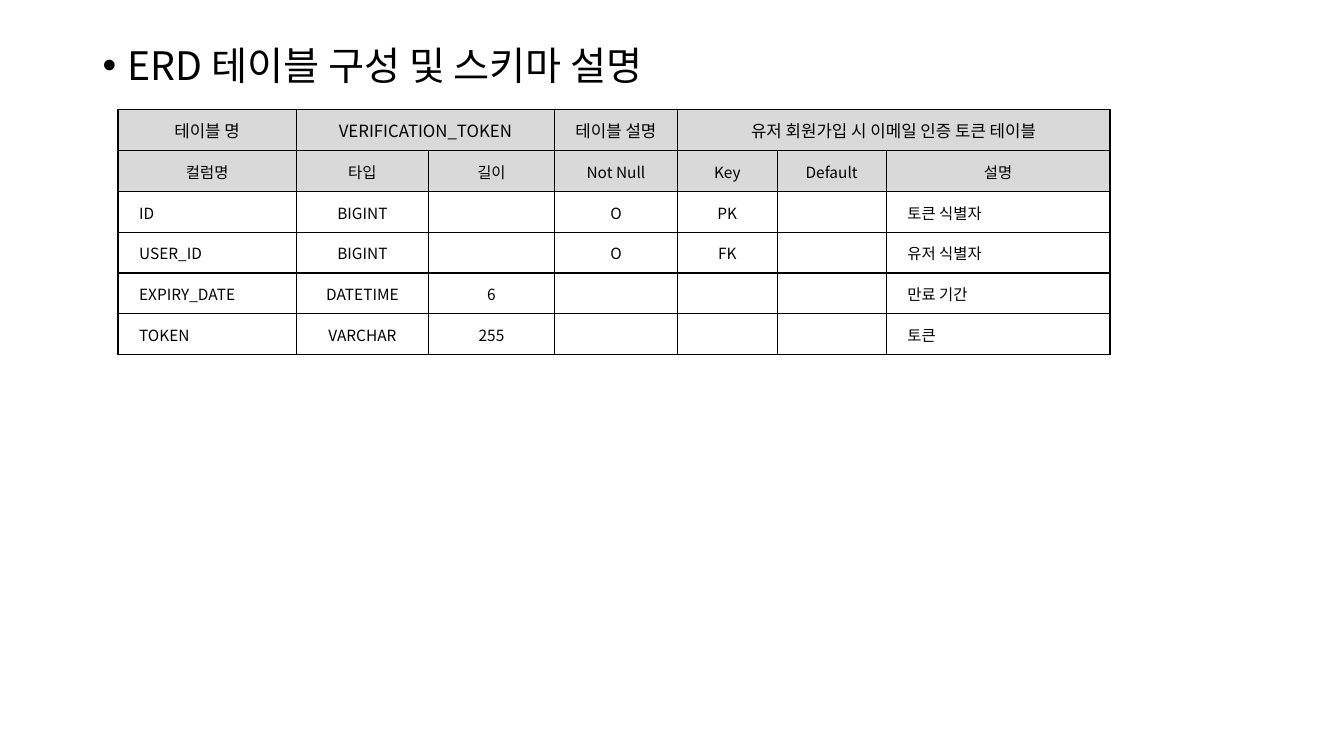
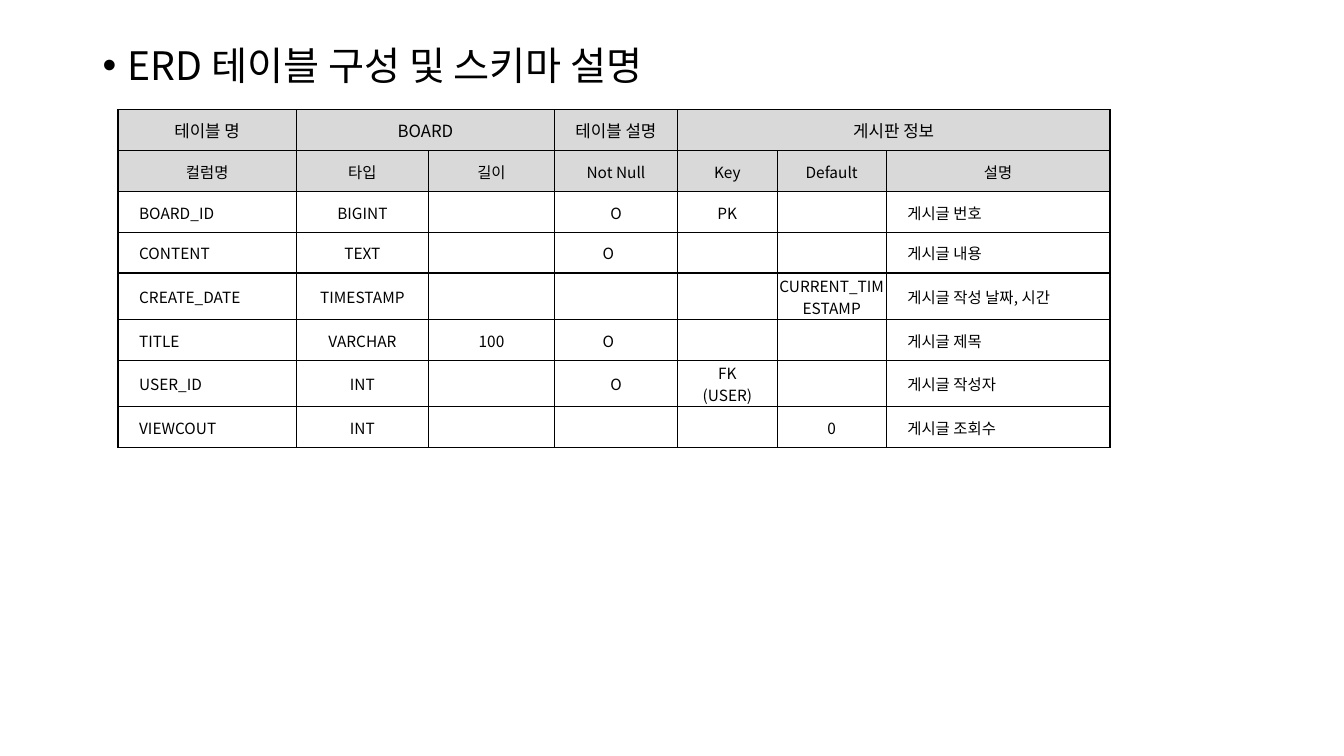
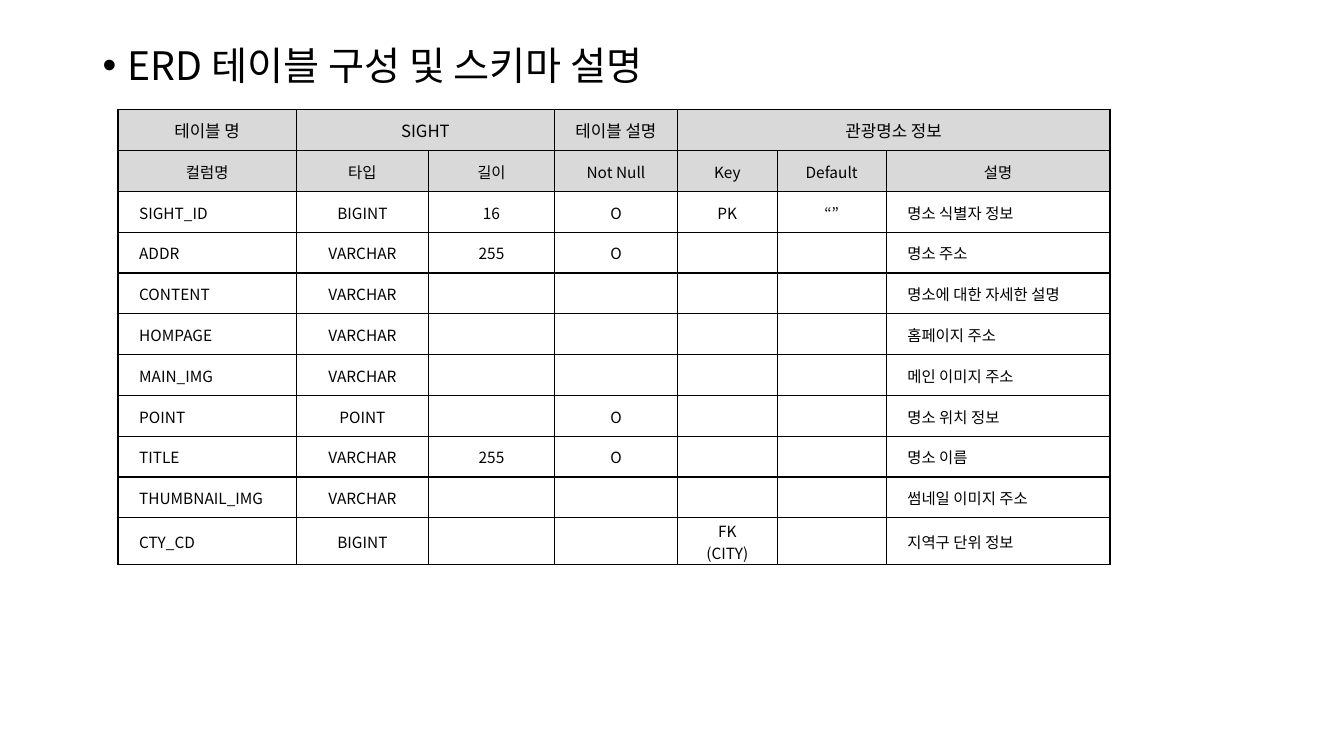
from dataclasses import dataclass

from lxml import etree
from pptx import Presentation
from pptx.dml.color import RGBColor
from pptx.enum.text import MSO_ANCHOR, PP_ALIGN
from pptx.oxml.ns import qn
from pptx.util import Inches, Pt

CENTER, LEFT = PP_ALIGN.CENTER, PP_ALIGN.LEFT
MIDDLE = MSO_ANCHOR.MIDDLE


@dataclass(frozen=True)
class Theme:
    font: str = "Noto Sans CJK KR"
    ink: str = "000000"
    header_fill: str = "D9D9D9"
    title_size: int = 28
    name_size: int = 12
    body_size: int = 11
    border: int = 1


theme = Theme()

SLIDE_WIDTH, SLIDE_HEIGHT = Inches(13.33), Inches(7.5)
TABLE_LEFT, TABLE_TOP = Inches(1.17), Inches(1.09)
ROW_HEIGHT = int(SLIDE_HEIGHT * 0.054)
TWO_LINE_HEIGHT = Inches(0.46)
COLUMN_WIDTHS = [Inches(width) for width in (1.77, 1.31, 1.25, 1.22, 0.99, 1.08, 2.22)]
LAST_COLUMN = len(COLUMN_WIDTHS) - 1
DEFAULT_COLUMN = 5
DEFAULT_LINE_LENGTH = 12
INSET, INDENT = Inches(0.01), Inches(0.2)
TITLE = "ERD 테이블 구성 및 스키마 설명"
HEADINGS = ("컬럼명", "타입", "길이", "Not Null", "Key", "Default", "설명")

SCHEMAS = [
    ("VERIFICATION_TOKEN", "유저 회원가입 시 이메일 인증 토큰 테이블", [
        ("ID", "BIGINT", "", "O", "PK", "", "토큰 식별자"),
        ("USER_ID", "BIGINT", "", "O", "FK", "", "유저 식별자"),
        ("EXPIRY_DATE", "DATETIME", "6", "", "", "", "만료 기간"),
        ("TOKEN", "VARCHAR", "255", "", "", "", "토큰"),
    ]),
    ("BOARD", "게시판 정보", [
        ("BOARD_ID", "BIGINT", "", "O", "PK", "", "게시글 번호"),
        ("CONTENT", "TEXT", "", "O　", "", "", "게시글 내용"),
        ("CREATE_DATE", "TIMESTAMP", "", "", "", "CURRENT_TIMESTAMP", "게시글 작성 날짜, 시간"),
        ("TITLE", "VARCHAR", "100", "O　", "", "", "게시글 제목"),
        ("USER_ID", "INT", "", "O", "FK\n(USER)", "", "게시글 작성자"),
        ("VIEWCOUT", "INT", "", "", "", "0", "게시글 조회수"),
    ]),
    ("SIGHT", "관광명소 정보", [
        ("SIGHT_ID", "BIGINT", "16", "O", "PK", "“”", "명소 식별자 정보"),
        ("ADDR", "VARCHAR", "255", "O", "", "", "명소 주소"),
        ("CONTENT", "VARCHAR", "", "", "", "", "명소에 대한 자세한 설명"),
        ("HOMPAGE", "VARCHAR", "", "", "", "", "홈페이지 주소"),
        ("MAIN_IMG", "VARCHAR", "", "", "", "", "메인 이미지 주소"),
        ("POINT", "POINT", "", "O", "", "", "명소 위치 정보"),
        ("TITLE", "VARCHAR", "255", "O", "", "", "명소 이름"),
        ("THUMBNAIL_IMG", "VARCHAR", "", "", "", "", "썸네일 이미지 주소"),
        ("CTY_CD", "BIGINT", "", "", "FK\v(CITY)", "", "지역구 단위 정보"),
    ]),
]


def style_paragraph(paragraph, size):
    paragraph.font.size = Pt(size)
    paragraph.font.color.rgb = RGBColor.from_string(theme.ink)
    paragraph.font.name = theme.font
    defaults = paragraph._p.pPr.find(qn("a:defRPr"))
    etree.SubElement(defaults, qn("a:ea"), typeface=theme.font)


def add_borders(cell):
    properties = cell._tc.get_or_add_tcPr()
    for side in ("lnL", "lnR", "lnT", "lnB"):
        line = etree.SubElement(properties, qn(f"a:{side}"), w=str(Pt(theme.border)))
        fill = etree.SubElement(line, qn("a:solidFill"))
        etree.SubElement(fill, qn("a:srgbClr"), val=theme.ink)


presentation = Presentation()
presentation.slide_width, presentation.slide_height = SLIDE_WIDTH, SLIDE_HEIGHT

for table_name, description, fields in SCHEMAS:
    slide = presentation.slides.add_slide(presentation.slide_layouts[6])

    title = slide.shapes.add_textbox(Inches(0.92), Inches(0.41), Inches(11.5), Inches(4.76))
    title.text_frame.word_wrap = True
    paragraph = title.text_frame.paragraphs[0]
    paragraph.text = TITLE
    paragraph.line_spacing = 0.9
    properties = paragraph._p.get_or_add_pPr()
    properties.set("marL", str(Inches(0.25)))
    properties.set("indent", str(-Inches(0.25)))
    etree.SubElement(properties, qn("a:buFont"), typeface="Arial")
    etree.SubElement(properties, qn("a:buChar"), char="•")
    style_paragraph(paragraph, theme.title_size)

    name_row = ("테이블 명", table_name, "", "테이블 설명", description, "", "")
    rows = [name_row, HEADINGS, *fields]
    row_heights = []
    for values in rows:
        broken = any(len(value.splitlines()) > 1 for value in values)
        wrapped = len(values[DEFAULT_COLUMN]) > DEFAULT_LINE_LENGTH
        row_heights.append(TWO_LINE_HEIGHT if broken or wrapped else ROW_HEIGHT)

    table = slide.shapes.add_table(
        len(rows), len(COLUMN_WIDTHS), TABLE_LEFT, TABLE_TOP,
        sum(COLUMN_WIDTHS), sum(row_heights),
    ).table
    table.first_row = table.horz_banding = False
    for column, width in zip(table.columns, COLUMN_WIDTHS):
        column.width = width
    for row, height in zip(table.rows, row_heights):
        row.height = height
    table.cell(0, 1).merge(table.cell(0, 2))
    table.cell(0, 4).merge(table.cell(0, LAST_COLUMN))

    for row_index, values in enumerate(rows):
        for column_index, value in enumerate(values):
            cell = table.cell(row_index, column_index)
            cell.text = value
            cell.vertical_anchor = MIDDLE
            add_borders(cell)
            if row_index < 2:
                cell.fill.solid()
                cell.fill.fore_color.rgb = RGBColor.from_string(theme.header_fill)
            else:
                cell.fill.background()
            if row_index > 0:
                cell.margin_left = cell.margin_right = cell.margin_top = INSET
                cell.margin_bottom = 0
            indented = row_index >= 2 and column_index in (0, LAST_COLUMN)
            for paragraph in cell.text_frame.paragraphs:
                paragraph.alignment = LEFT if indented else CENTER
                if indented:
                    paragraph._p.get_or_add_pPr().set("marL", str(INDENT))
                style_paragraph(paragraph, theme.body_size if row_index else theme.name_size)

presentation.save("out.pptx")
